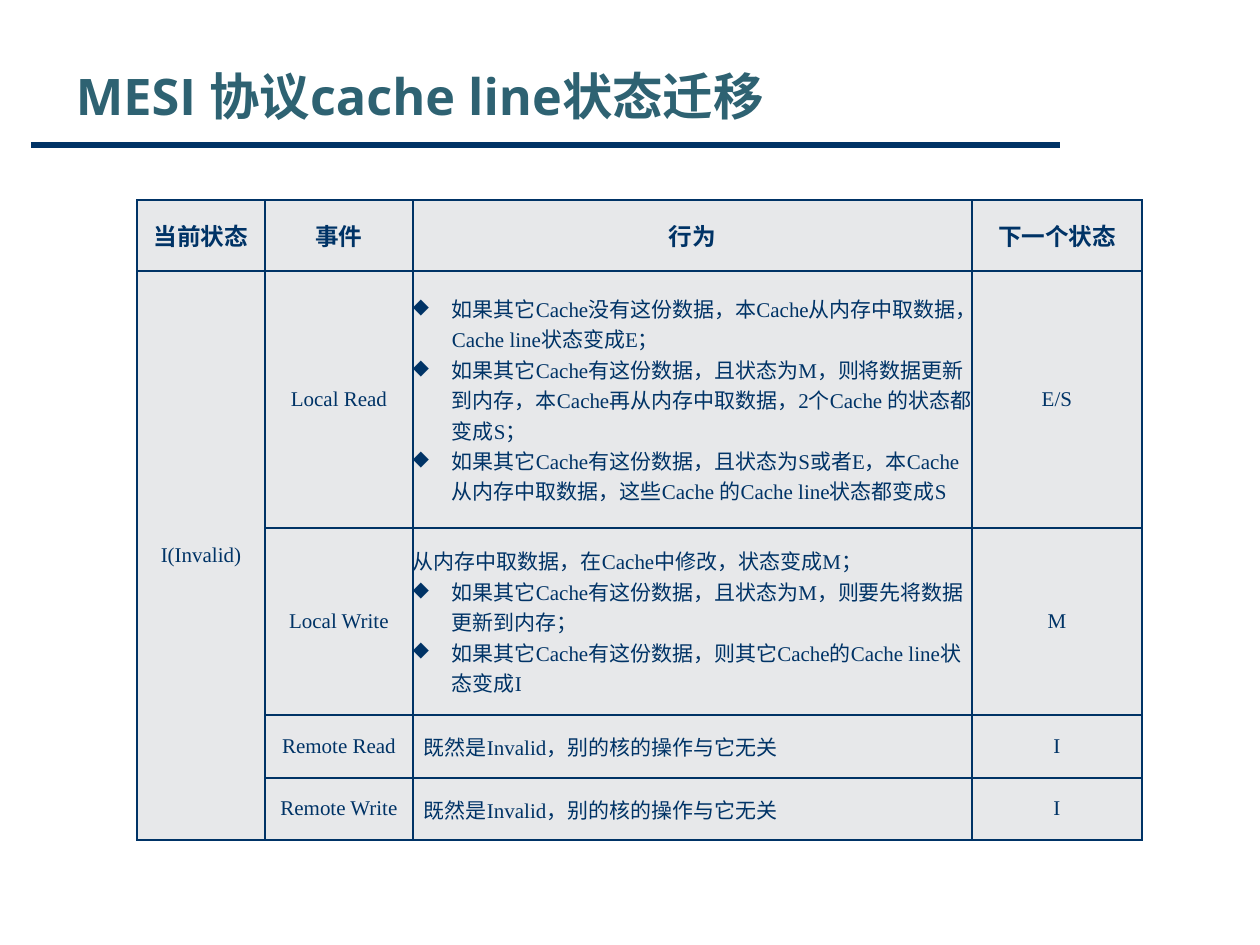
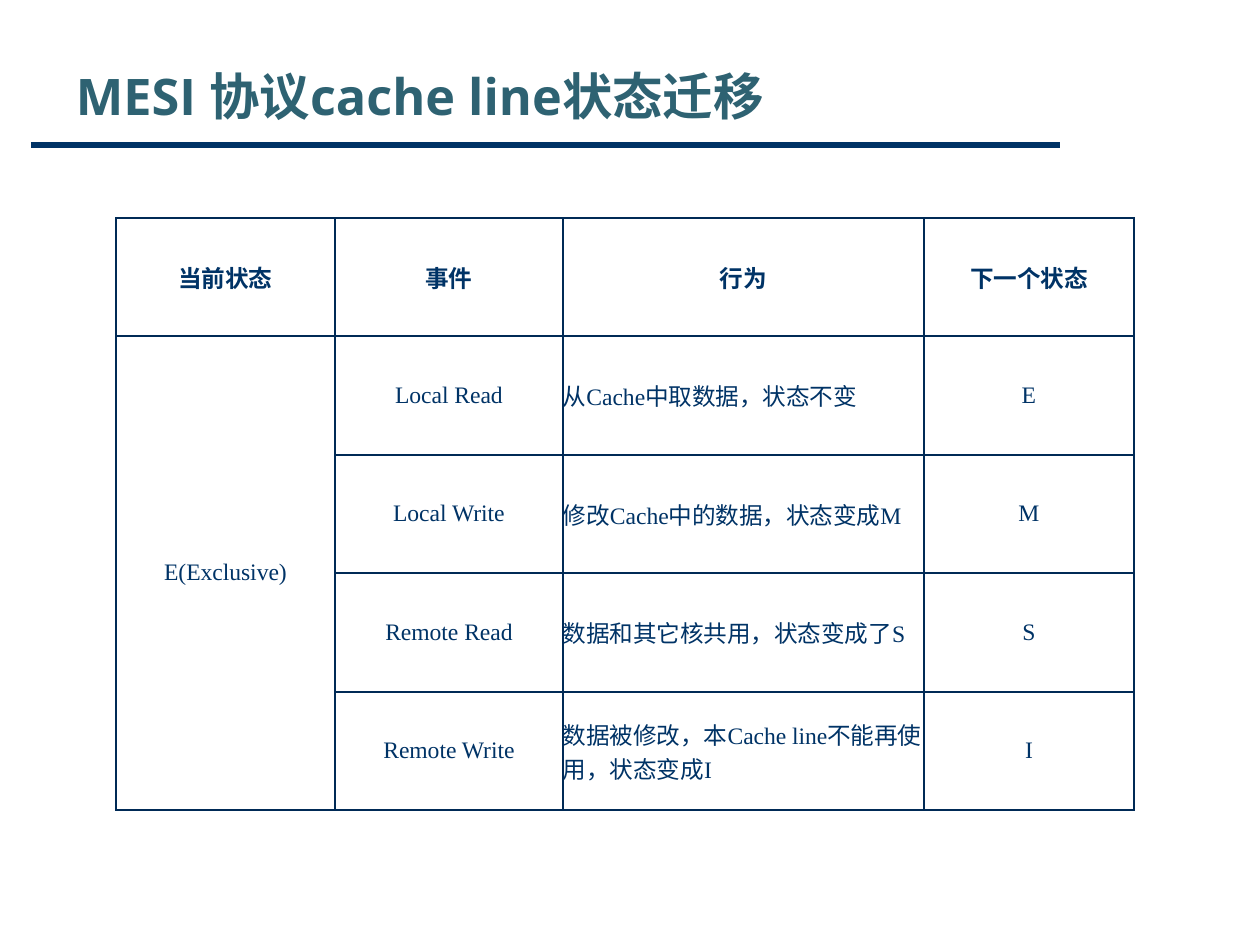
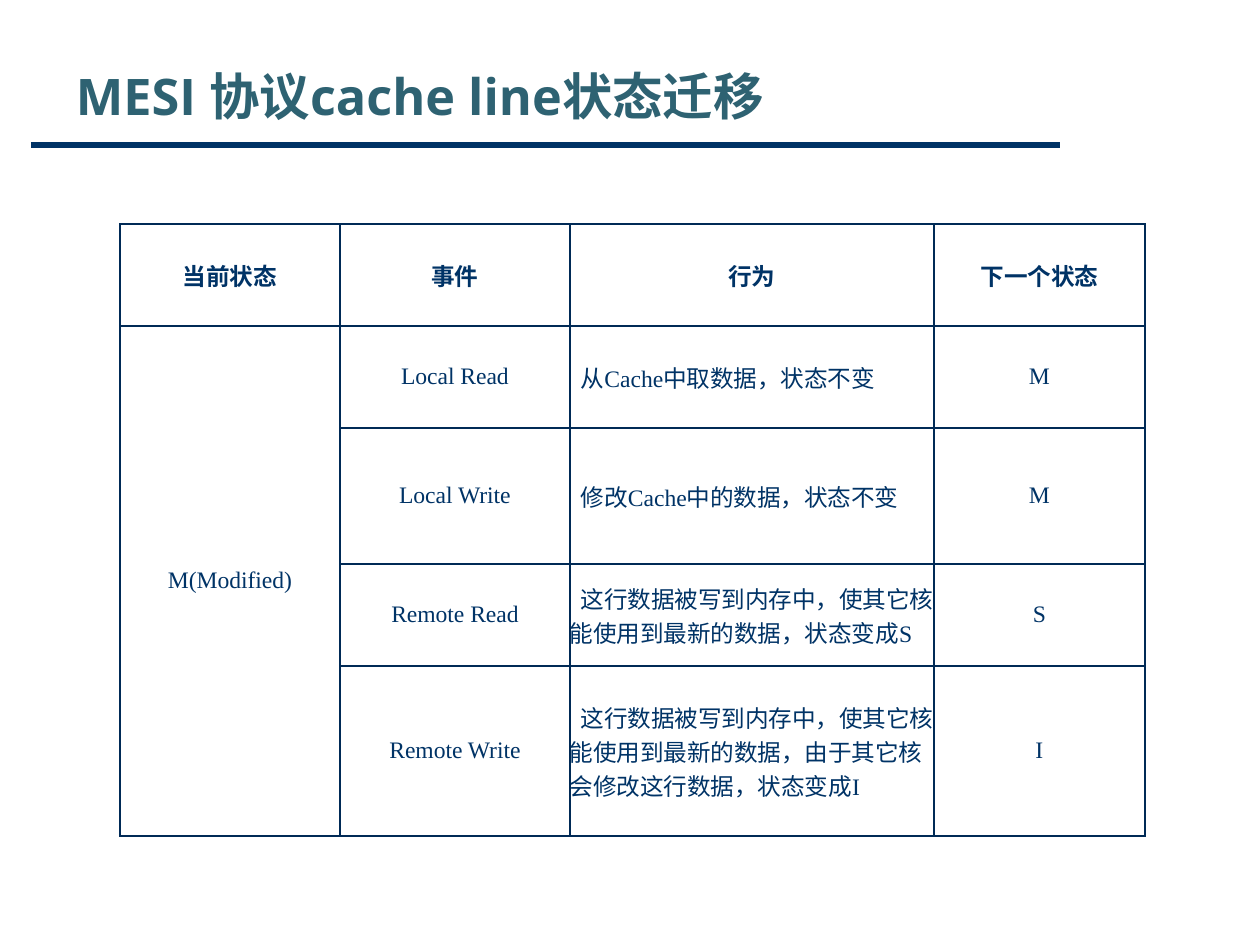
"""Build three slides that tabulate MESI cache line state transitions."""
from dataclasses import dataclass

from lxml.etree import SubElement
from pptx import Presentation
from pptx.dml.color import RGBColor as Color
from pptx.enum.shapes import MSO_CONNECTOR as Connector
from pptx.enum.text import MSO_ANCHOR as Anchor, MSO_AUTO_SIZE as AutoSize, PP_ALIGN as Align
from pptx.oxml.ns import qn
from pptx.util import Emu, Pt

TITLE = "MESI 协议cache line状态迁移"
HEADERS = ("当前状态", "事件", "行为", "下一个状态")
EVENTS = ("Local Read", "Local Write", "Remote Read", "Remote Write")
ACTION_COLUMN = HEADERS.index("行为")

PLAIN, INDENTED, BULLETED = "plain", "indented", "bulleted"
INDENTS = {PLAIN: (0, 0), INDENTED: (0, 11), BULLETED: (39, -39)}

TABLES = [
    {
        "state": "I(Invalid)",
        "origin": (137, 200),
        "columns": (128, 148, 559, 170),
        "rows": (71, 257, 187, 63, 62),
        "body_size": 12,
        "border": "003366",
        "fill": "E7E8EA",
        "actions": [
            [
                (BULLETED, "如果其它Cache没有这份数据，本Cache从内存中取数据，Cache line状态变成E；"),
                (BULLETED, "如果其它Cache有这份数据，且状态为M，则将数据更新到内存，"
                           "本Cache再从内存中取数据，2个Cache 的状态都变成S；"),
                (BULLETED, "如果其它Cache有这份数据，且状态为S或者E，本Cache从内存中取数据，"
                           "这些Cache 的Cache line状态都变成S"),
            ],
            [
                (PLAIN, "从内存中取数据，在Cache中修改，状态变成M；"),
                (BULLETED, "如果其它Cache有这份数据，且状态为M，则要先将数据更新到内存；"),
                (BULLETED, "如果其它Cache有这份数据，则其它Cache的Cache line状态变成I"),
            ],
            [(INDENTED, "既然是Invalid，别的核的操作与它无关")],
            [(INDENTED, "既然是Invalid，别的核的操作与它无关")],
        ],
        "next_states": ("E/S", "M", "I", "I"),
    },
    {
        "state": "E(Exclusive)",
        "origin": (116, 218),
        "columns": (219, 228, 361, 210),
        "rows": (118, 119, 118, 119, 118),
        "body_size": 13.5,
        "border": "002A56",
        "fill": None,
        "actions": [
            [(PLAIN, "从Cache中取数据，状态不变")],
            [(PLAIN, "修改Cache中的数据，状态变成M")],
            [(PLAIN, "数据和其它核共用，状态变成了S")],
            [(PLAIN, "数据被修改，本Cache line不能再使用，状态变成I")],
        ],
        "next_states": ("E", "M", "S", "I"),
    },
    {
        "state": "M(Modified)",
        "origin": (120, 224),
        "columns": (220, 230, 364, 211),
        "rows": (102, 102, 136, 102, 170),
        "body_size": 13.5,
        "border": "002A56",
        "fill": None,
        "actions": [
            [(INDENTED, "从Cache中取数据，状态不变")],
            [(INDENTED, "修改Cache中的数据，状态不变")],
            [(INDENTED, "这行数据被写到内存中，使其它核能使用到最新的数据，状态变成S")],
            [(INDENTED, "这行数据被写到内存中，使其它核能使用到最新的数据，"
                        "由于其它核会修改这行数据，状态变成I")],
        ],
        "next_states": ("M", "M", "S", "I"),
    },
]


@dataclass(frozen=True)
class Theme:
    title_color: str = "2E6272"
    text_color: str = "003366"
    title_font: str = "Open Sans"
    body_font: str = "Times New Roman"
    title_size: float = 28.8
    header_size: float = 13.5
    rule_width: float = 3
    border_width: float = 1


THEME = Theme()
SLIDE_SIZE = (1260, 945)
TITLE_BOX = (76, 62, 1109, 67)
RULE = (31, 145, 1060, 145)
TITLE_ONLY = 5


def px(length):
    return Emu(round(length * 914400 / 126))


def set_font(paragraph, name, size, color, bold=False):
    font = paragraph.font
    font.name, font.size, font.bold = name, Pt(size), bold
    font.color.rgb = Color.from_string(color)


def clear_margins(target):
    target.margin_left = target.margin_top = target.margin_right = target.margin_bottom = 0


def add_title(slide):
    title = slide.shapes.title
    title.left, title.top, title.width, title.height = map(px, TITLE_BOX)
    frame = title.text_frame
    frame.text = TITLE
    frame.auto_size = AutoSize.NONE
    frame.vertical_anchor = Anchor.MIDDLE
    clear_margins(frame)
    paragraph = frame.paragraphs[0]
    paragraph.alignment = Align.LEFT
    set_font(paragraph, THEME.title_font, THEME.title_size, THEME.title_color, True)


def add_rule(slide):
    rule = slide.shapes.add_connector(Connector.STRAIGHT, *map(px, RULE))
    rule.line.color.rgb = Color.from_string(THEME.text_color)
    rule.line.width = Pt(THEME.rule_width)
    SubElement(rule._element.spPr, qn("a:effectLst"))


def style_cell(cell, border, fill):
    clear_margins(cell)
    cell.vertical_anchor = Anchor.MIDDLE
    properties = cell._tc.get_or_add_tcPr()
    for side in ("lnL", "lnR", "lnT", "lnB"):
        line = SubElement(properties, qn(f"a:{side}"), w=str(Pt(THEME.border_width)))
        SubElement(SubElement(line, qn("a:solidFill")), qn("a:srgbClr"), val=border)
    if fill:
        cell.fill.solid()
        cell.fill.fore_color.rgb = Color.from_string(fill)
    else:
        cell.fill.background()


def set_indent(paragraph, kind):
    margin, indent = INDENTS[kind]
    properties = paragraph._p.get_or_add_pPr()
    properties.set("marL", str(px(margin)))
    properties.set("indent", str(px(indent)))
    if kind == BULLETED:
        SubElement(properties, qn("a:buChar"), char="◆")


def write_cell(cell, entries, alignment, size, bold):
    frame = cell.text_frame
    for index, (kind, text) in enumerate(entries):
        paragraph = frame.add_paragraph() if index else frame.paragraphs[0]
        paragraph.text = text
        paragraph.alignment = alignment
        set_indent(paragraph, kind)
        set_font(paragraph, THEME.body_font, size, THEME.text_color, bold)


def table_rows(content):
    yield [[(PLAIN, header)] for header in HEADERS]
    states = (content["state"], "", "", "")
    for state, event, action, next_state in zip(
        states, EVENTS, content["actions"], content["next_states"]
    ):
        yield [[(PLAIN, state)] if state else [], [(PLAIN, event)], action, [(PLAIN, next_state)]]


def add_state_table(slide, content):
    widths, heights = content["columns"], content["rows"]
    box = (*content["origin"], sum(widths), sum(heights))
    table = slide.shapes.add_table(len(heights), len(widths), *map(px, box)).table
    table.first_row = table.horz_banding = False
    for column, width in zip(table.columns, widths):
        column.width = px(width)
    for row, height in zip(table.rows, heights):
        row.height = px(height)
    for row_index, row in enumerate(table_rows(content)):
        is_header = row_index == 0
        size = THEME.header_size if is_header else content["body_size"]
        for column_index, entries in enumerate(row):
            cell = table.cell(row_index, column_index)
            is_action = column_index == ACTION_COLUMN and not is_header
            style_cell(cell, content["border"], content["fill"])
            write_cell(cell, entries, Align.LEFT if is_action else Align.CENTER, size, is_header)
    table.cell(1, 0).merge(table.cell(len(EVENTS), 0))


def main():
    presentation = Presentation()
    presentation.slide_width, presentation.slide_height = map(px, SLIDE_SIZE)
    for content in TABLES:
        slide = presentation.slides.add_slide(presentation.slide_layouts[TITLE_ONLY])
        add_rule(slide)
        add_title(slide)
        add_state_table(slide, content)
    presentation.save("out.pptx")


if __name__ == "__main__":
    main()
